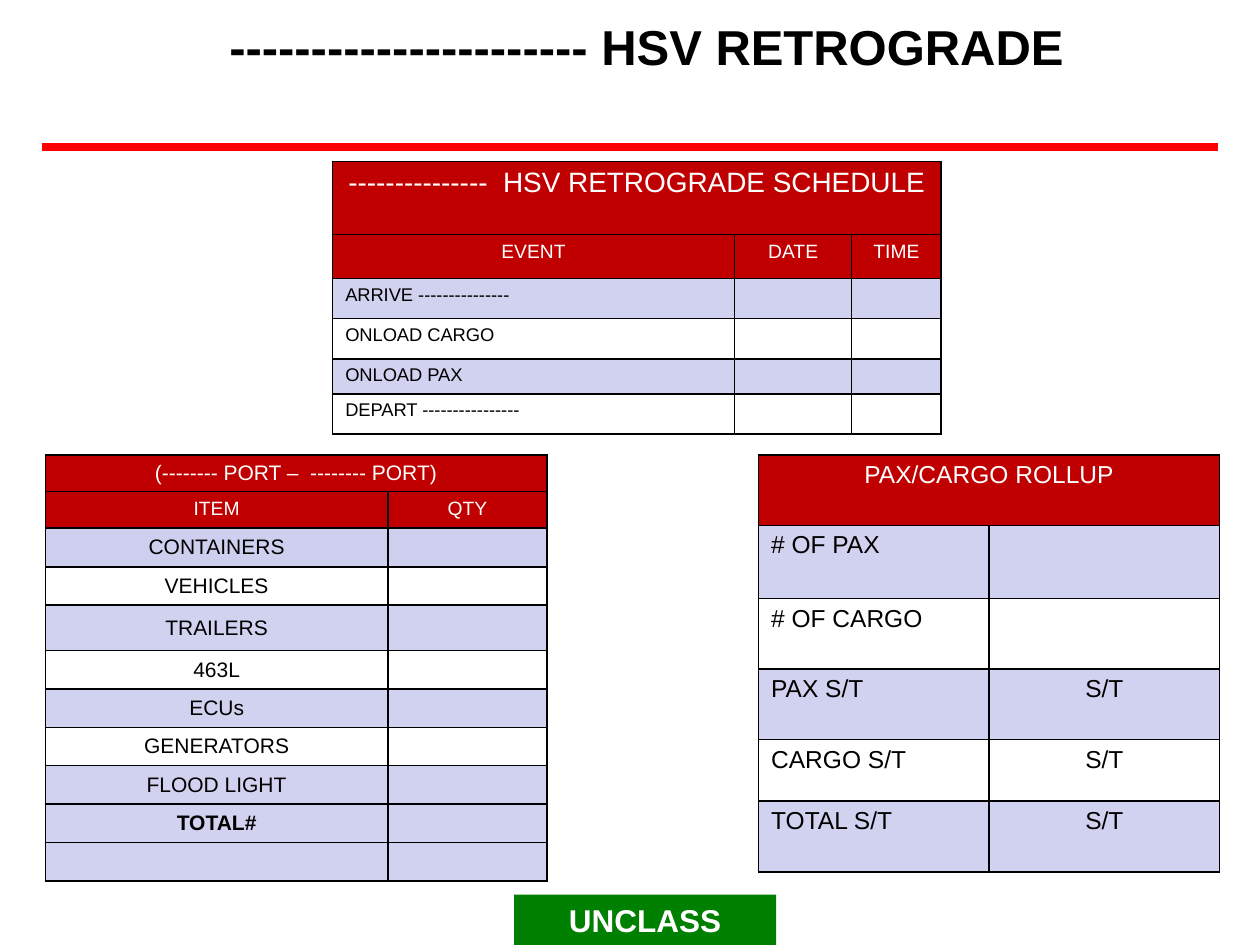
from lxml.etree import SubElement
from pptx import Presentation
from pptx.dml.color import RGBColor
from pptx.enum.shapes import MSO_CONNECTOR, MSO_SHAPE
from pptx.enum.text import MSO_ANCHOR, PP_ALIGN
from pptx.oxml.ns import qn
from pptx.util import Inches, Pt

COLORS = {"header": "C00000", "band": "D1D1F0", "first": "CECEEF", "rule": "FF0000",
          "label": "008000", "black": "000000", "white": "FFFFFF"}
FONT = "Arial"
WIDTH, HEIGHT = Inches(10), Inches(7.5)
UNIT = WIDTH // 10  # the page is a grid of 10 columns by 7.5 rows


def grid(*lengths):
    return [round(length * UNIT) for length in lengths]


def color(name):
    return RGBColor.from_string(COLORS[name])


def write(frame, text, size=12, ink="black", bold=False, align=PP_ALIGN.CENTER):
    para = frame.paragraphs[0]
    para.alignment = align
    if not text:
        # An empty cell keeps the row's text size
        SubElement(para._p, qn("a:endParaRPr"), sz=str(round(size * 100)))
        return
    span = para.add_run()
    span.text = text
    span.font.name, span.font.size = FONT, Pt(size)
    span.font.bold, span.font.color.rgb = bold, color(ink)


def add_borders(cell):
    properties = cell._tc.get_or_add_tcPr()
    for side in ("lnL", "lnR", "lnT", "lnB"):
        line = SubElement(properties, qn(f"a:{side}"), w=str(Pt(1)))
        fill = SubElement(line, qn("a:solidFill"))
        SubElement(fill, qn("a:srgbClr"), val=COLORS["black"])


def add_grid_table(page, box, columns, heights, rows, fills, sizes,
                   headers=1, anchor=MSO_ANCHOR.TOP, left_first=True, bold_row=None):
    """Table whose first row spans all columns; headers counts the red rows."""
    table = page.shapes.add_table(len(rows), len(columns), *grid(*box)).table
    for column, width in zip(table.columns, grid(*columns)):
        column.width = width
    for row, height in zip(table.rows, grid(*heights)):
        row.height = height
    table.cell(0, 0).merge(table.cell(0, len(columns) - 1))
    for r, texts in enumerate(rows):
        is_header = r < headers
        size = sizes[min(r, len(sizes) - 1)]
        fill = "header" if is_header else fills[r - headers]
        for c in range(len(columns)):
            cell = table.cell(r, c)
            add_borders(cell)
            if fill:
                cell.fill.solid()
                cell.fill.fore_color.rgb = color(fill)
            else:
                cell.fill.background()
            cell.vertical_anchor = MSO_ANCHOR.TOP if is_header else anchor
            to_left = left_first and c == 0 and not is_header
            write(cell.text_frame, texts[c] if c < len(texts) else "", size,
                  ink="white" if is_header else "black", bold=r == bold_row,
                  align=PP_ALIGN.LEFT if to_left else PP_ALIGN.CENTER)


def add_heading(page, box):
    title = page.shapes.title
    title.left, title.top, title.width, title.height = grid(*box)
    title.text_frame.word_wrap = True
    title.text_frame.vertical_anchor = MSO_ANCHOR.TOP
    write(title.text_frame, "-" * 22 + " HSV RETROGRADE", size=28, bold=True)


def add_rule(page, left, right, top):
    rule = page.shapes.add_connector(MSO_CONNECTOR.STRAIGHT, *grid(left, top, right, top))
    rule.line.color.rgb, rule.line.width = color("rule"), Pt(4.5)
    SubElement(rule._element.spPr, qn("a:effectLst"))


def add_label(page, box):
    label = page.shapes.add_shape(MSO_SHAPE.RECTANGLE, *grid(*box))
    label.shadow.inherit = False
    label.fill.solid()
    label.fill.fore_color.rgb = color("label")
    label.line.fill.background()
    label.text_frame.vertical_anchor = MSO_ANCHOR.TOP
    write(label.text_frame, "UNCLASS", size=18, ink="white", bold=True)


def add_schedule(page, box):
    rows = [["-" * 15 + "  HSV RETROGRADE SCHEDULE"], ["EVENT", "DATE", "TIME"],
            ["ARRIVE " + "-" * 15], ["ONLOAD CARGO"], ["ONLOAD PAX"], ["DEPART " + "-" * 16]]
    add_grid_table(page, box, [3.19, 0.93, 0.71], [0.58, 0.35, 0.32, 0.32, 0.27, 0.32],
                   rows, ["band", None] * 2, [16, 11, 10.5], headers=2)


def add_port_items(page, box):
    items = ["CONTAINERS", "VEHICLES", "TRAILERS", "463L", "ECUs", "GENERATORS",
             "FLOOD LIGHT", "TOTAL#", ""]
    rows = [["(-------- PORT –  -------- PORT)"], ["ITEM", "QTY"]] + [[item] for item in items]
    fills = ["first", None] + ["band", None] * 2 + ["band"] * 3
    heights = [0.29, 0.29, 0.31, 0.3, 0.36] + [0.305] * 6
    add_grid_table(page, box, [2.72, 1.26], heights, rows, fills, [12, 11, 12], headers=2,
                   anchor=MSO_ANCHOR.MIDDLE, left_first=False, bold_row=9)


def add_rollup(page, box):
    rows = [["PAX/CARGO ROLLUP"], ["# OF PAX"], ["# OF CARGO"]]
    rows += [[f"{name} S/T", "S/T"] for name in ("PAX", "CARGO", "TOTAL")]
    add_grid_table(page, box, [1.83] * 2, [0.56, 0.58, 0.56, 0.56, 0.49, 0.56],
                   rows, ["band", None, "band", None, "band"], [14])


deck = Presentation()
deck.slide_width, deck.slide_height = WIDTH, HEIGHT
page = deck.slides.add_slide(deck.slide_layouts[5])

# Heading and frame
add_heading(page, (1.17, 0.08, 7.92, 0.57))
add_rule(page, 0.33, 9.67, 1.17)
add_label(page, (4.08, 7.1, 2.08, 0.4))

# Tables
add_schedule(page, (2.64, 1.28, 4.83, 2.15))
add_port_items(page, (0.36, 3.61, 3.98, 3.38))
add_rollup(page, (6.02, 3.61, 3.66, 3.31))

deck.save("out.pptx")
